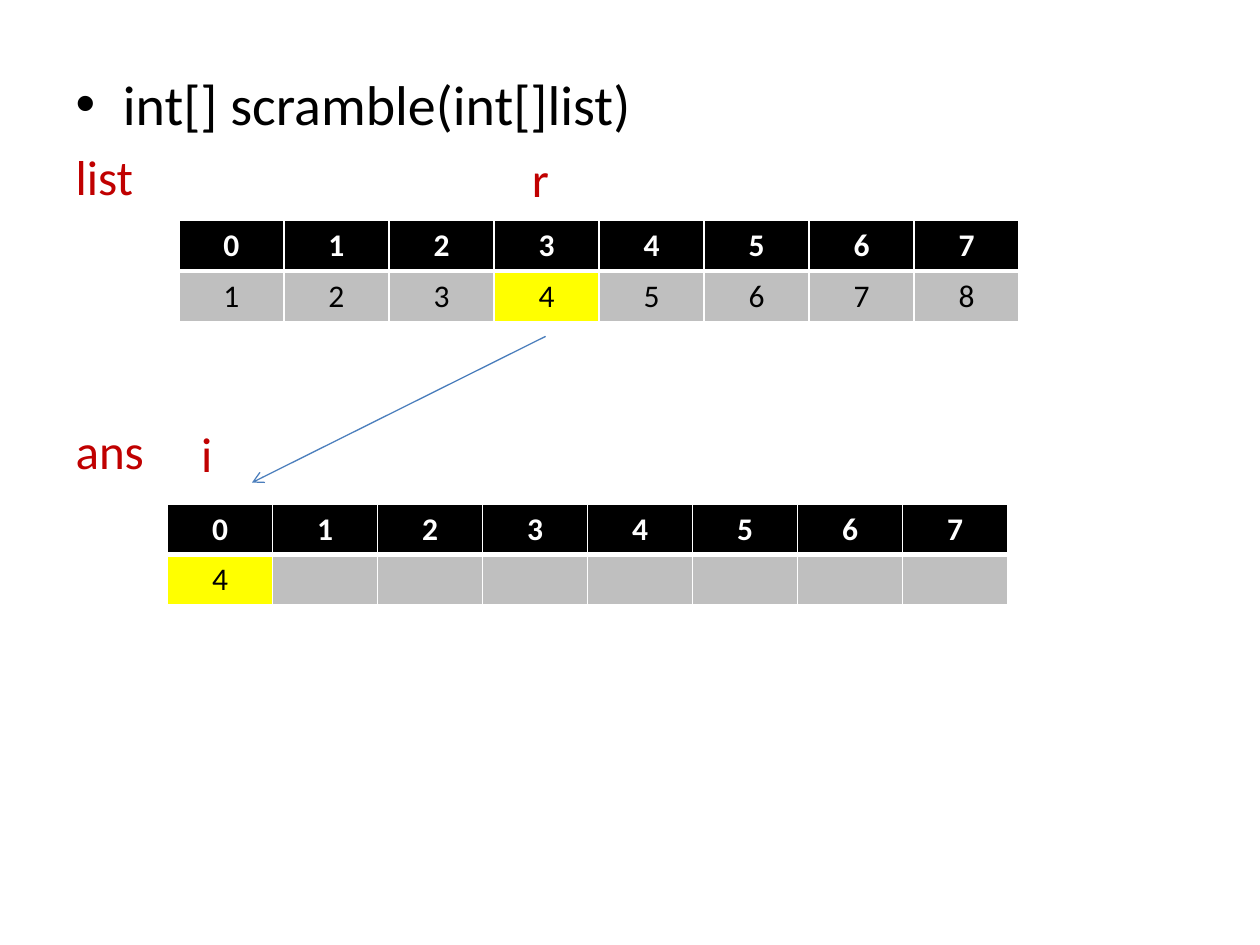
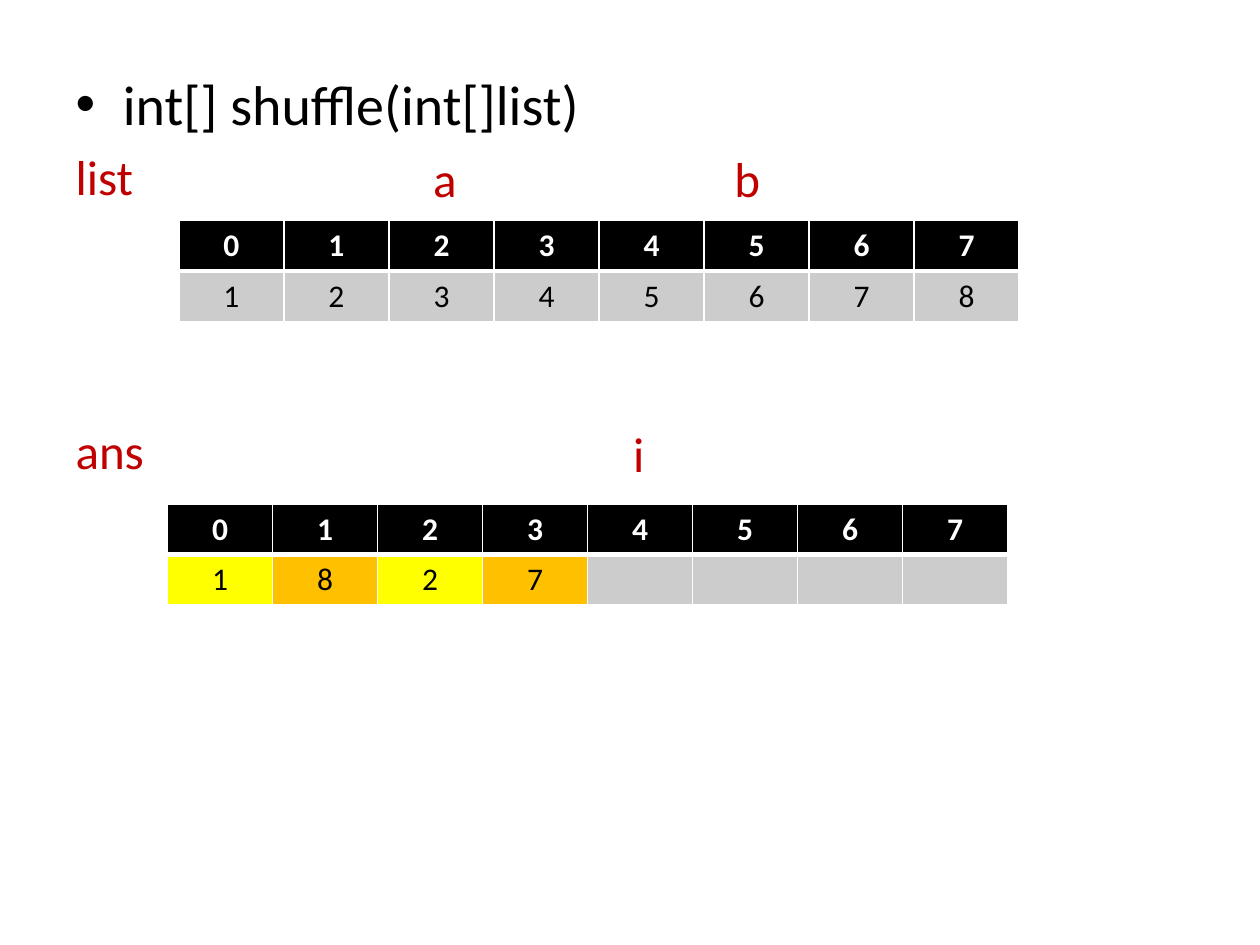
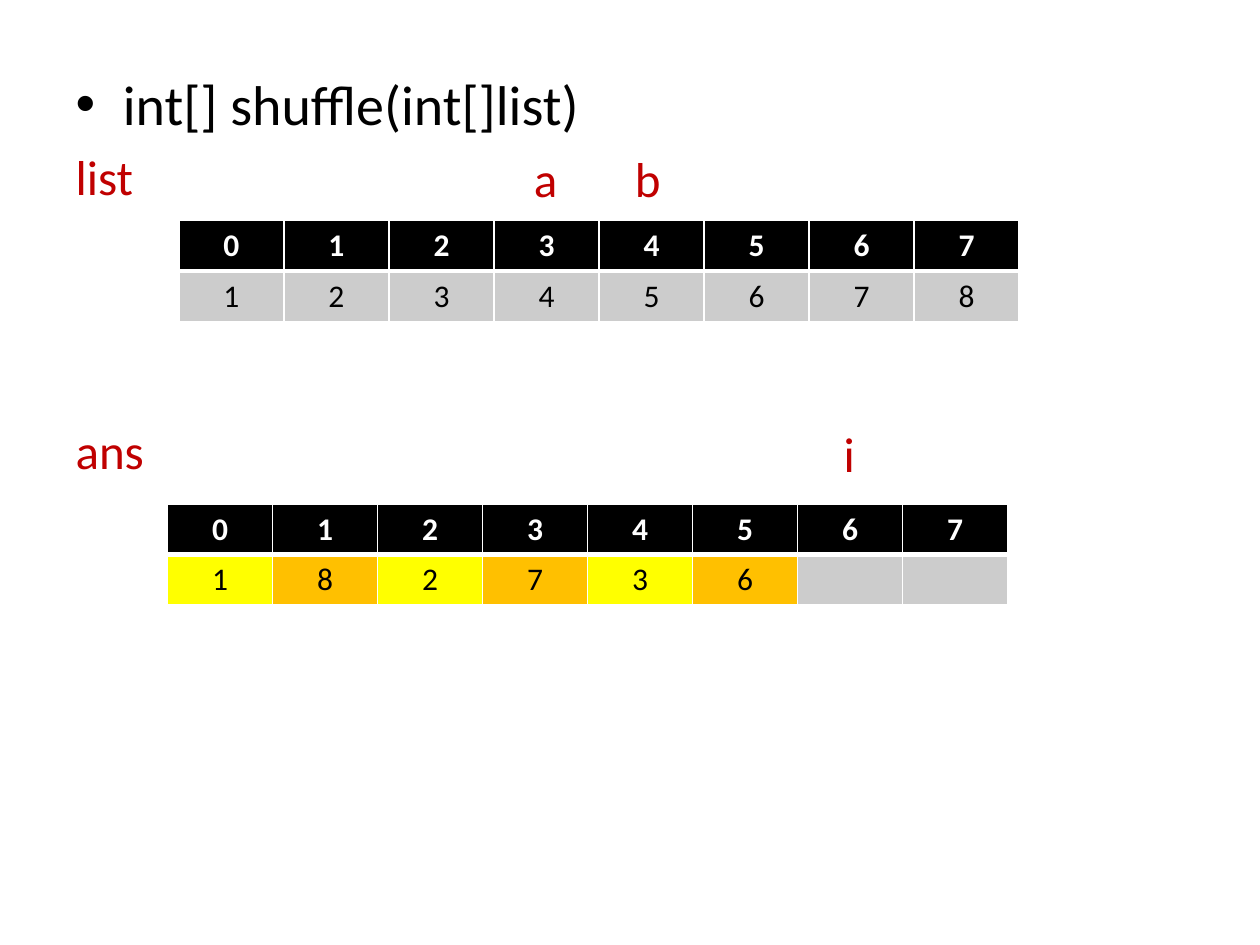
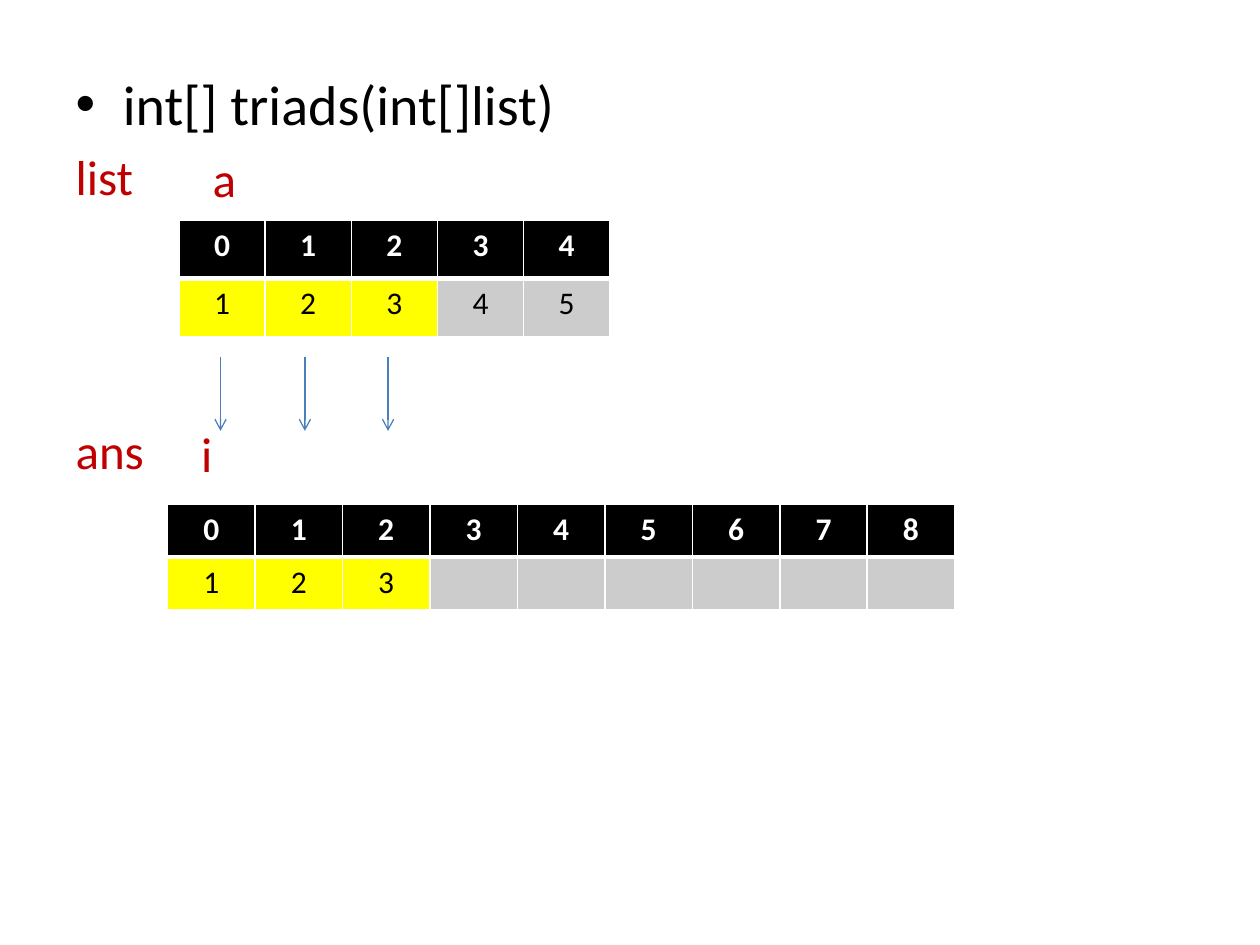
from dataclasses import dataclass

from lxml import etree
from pptx import Presentation
from pptx.dml.color import RGBColor
from pptx.enum.shapes import MSO_CONNECTOR
from pptx.enum.text import MSO_ANCHOR, PP_ALIGN
from pptx.oxml.ns import qn
from pptx.util import Inches, Pt

STRAIGHT = MSO_CONNECTOR.STRAIGHT
CENTER = PP_ALIGN.CENTER
TOP = MSO_ANCHOR.TOP

COLORS = {
    "black": "000000",
    "white": "FFFFFF",
    "red": "C00000",
    "yellow": "FFFF00",
    "orange": "FFC000",
    "gray": "BFBFBF",
    "light gray": "CCCCCC",
    "arrow": "4B7EBC",
}
FONT = "Calibri"
BODY_LEFT, BODY_TOP, BODY_WIDTH, BODY_HEIGHT = 0.5, 0.5, 9.08, 6.2
LIST_GAP, ANSWER_GAP = 5.6, 123
LIST_MARKER_TOP, ANSWER_MARKER_TOP = 1.18, 3.36
MARKER_WIDTH, MARKER_HEIGHT = 0.5, 0.48
LIST_LEFT, LIST_TOP = 1.42, 1.75
ANSWER_LEFT, ANSWER_TOP = 1.33, 4


@dataclass
class Marker:
    name: str
    center: float


@dataclass
class Array:
    values: list[int]
    highlights: list[str]
    length: int = 8
    width: float = 6.67
    row_height: float = 0.4


@dataclass
class Arrow:
    start: tuple[float, float]
    end: tuple[float, float]


@dataclass
class ArraySlide:
    signature: str
    list_markers: list[Marker]
    answer_markers: list[Marker]
    list_array: Array
    answer_array: Array
    arrows: list[Arrow]
    base_fill: str = "light gray"


def color(name: str) -> RGBColor:
    return RGBColor.from_string(COLORS[name])


def add_run(paragraph, text: str, size: float, color_name: str, bold: bool = False) -> None:
    run = paragraph.add_run()
    run.text = text
    run.font.name = FONT
    run.font.size = Pt(size)
    run.font.bold = bold
    run.font.color.rgb = color(color_name)


def add_array_name(text_frame, name: str, gap: float) -> None:
    paragraph = text_frame.add_paragraph()
    properties = paragraph._p.get_or_add_pPr()
    properties.set("marL", "0")
    properties.set("indent", "0")
    etree.SubElement(properties, qn("a:buNone"))
    paragraph.space_before = Pt(gap)
    add_run(paragraph, name, 28, "red")


def fill_body(slide, signature: str) -> None:
    title = slide.shapes.title
    title.element.getparent().remove(title.element)
    body = slide.placeholders[1]
    body.left, body.top = Inches(BODY_LEFT), Inches(BODY_TOP)
    body.width, body.height = Inches(BODY_WIDTH), Inches(BODY_HEIGHT)
    text_frame = body.text_frame
    text_frame.vertical_anchor = TOP
    heading = text_frame.paragraphs[0]
    heading.space_before = Pt(0)
    add_run(heading, signature, 32, "black")
    add_array_name(text_frame, "list", LIST_GAP)
    add_array_name(text_frame, "ans", ANSWER_GAP)


def add_marker(slide, marker: Marker, top: float) -> None:
    box = slide.shapes.add_textbox(
        Inches(marker.center - MARKER_WIDTH / 2), Inches(top),
        Inches(MARKER_WIDTH), Inches(MARKER_HEIGHT))
    text_frame = box.text_frame
    text_frame.word_wrap = True
    text_frame.vertical_anchor = TOP
    text_frame.margin_left = text_frame.margin_right = 0
    text_frame.margin_top = text_frame.margin_bottom = 0
    paragraph = text_frame.paragraphs[0]
    paragraph.alignment = CENTER
    add_run(paragraph, marker.name, 28, "red")


def add_border(cell, side: str, width: float) -> None:
    line = etree.Element(qn(f"a:{side}"), w=str(Pt(width)))
    fill = etree.SubElement(line, qn("a:solidFill"))
    etree.SubElement(fill, qn("a:srgbClr"), val=COLORS["white"])
    cell._tc.get_or_add_tcPr().insert(0, line)


def fill_cell(cell, text: str, fill: str, text_color: str, bold: bool) -> None:
    cell.fill.solid()
    cell.fill.fore_color.rgb = color(fill)
    paragraph = cell.text_frame.paragraphs[0]
    paragraph.alignment = CENTER
    if text:
        add_run(paragraph, text, 18, text_color, bold)


def add_array(slide, array: Array, left: float, top: float, base_fill: str) -> None:
    frame = slide.shapes.add_table(
        2, array.length, Inches(left), Inches(top),
        Inches(array.width), Inches(2 * array.row_height))
    table = frame.table
    table.horz_banding = False
    for row in table.rows:
        row.height = Inches(array.row_height)
    for index, column in enumerate(table.columns):
        column.width = Inches(array.width / array.length)
        value = str(array.values[index]) if index < len(array.values) else ""
        fill = array.highlights[index] if index < len(array.highlights) else base_fill
        header_cell, value_cell = table.cell(0, index), table.cell(1, index)
        fill_cell(header_cell, str(index), "black", "white", True)
        fill_cell(value_cell, value, fill or base_fill, "black", False)
        add_border(header_cell, "lnB", 3)
        add_border(value_cell, "lnT", 3)


def add_arrow(slide, arrow: Arrow) -> None:
    connector = slide.shapes.add_connector(
        STRAIGHT, *(Inches(value) for value in arrow.start + arrow.end))
    connector.line.color.rgb = color("arrow")
    connector.line.width = Pt(0.75)
    line = connector.line._get_or_add_ln()
    etree.SubElement(line, qn("a:tailEnd"), type="arrow")
    etree.SubElement(connector._element.spPr, qn("a:effectLst"))


def add_array_slide(presentation, content: ArraySlide) -> None:
    slide = presentation.slides.add_slide(presentation.slide_layouts[1])
    fill_body(slide, content.signature)
    for marker in content.list_markers:
        add_marker(slide, marker, LIST_MARKER_TOP)
    for marker in content.answer_markers:
        add_marker(slide, marker, ANSWER_MARKER_TOP)
    add_array(slide, content.list_array, LIST_LEFT, LIST_TOP, content.base_fill)
    add_array(slide, content.answer_array, ANSWER_LEFT, ANSWER_TOP, content.base_fill)
    for arrow in content.arrows:
        add_arrow(slide, arrow)


ONE_TO_EIGHT = list(range(1, 9))
PAIR = ["yellow", "orange"]
TRIAD = ["yellow"] * 3

SLIDES = [
    ArraySlide(
        "int[] scramble(int[]list)",
        [Marker("r", 4.29)], [Marker("i", 1.64)],
        Array(ONE_TO_EIGHT, ["", "", "", "yellow"]),
        Array([4], ["yellow"]),
        [Arrow((4.33, 2.67), (2, 3.83))],
        "gray",
    ),
    ArraySlide(
        "int[] shuffle(int[]list)",
        [Marker("a", 3.53), Marker("b", 5.93)], [Marker("i", 5.07)],
        Array(ONE_TO_EIGHT, []),
        Array([1, 8, 2, 7], PAIR * 2),
        [],
    ),
    ArraySlide(
        "int[] shuffle(int[]list)",
        [Marker("a", 4.33), Marker("b", 5.14)], [Marker("i", 6.74)],
        Array(ONE_TO_EIGHT, []),
        Array([1, 8, 2, 7, 3, 6], PAIR * 3),
        [],
    ),
    ArraySlide(
        "int[] triads(int[]list)",
        [Marker("a", 1.78)], [Marker("i", 1.64)],
        Array([1, 2, 3, 4, 5], TRIAD, 5, 3.42, 0.46),
        Array([1, 2, 3], TRIAD, 9, 6.25, 0.42),
        [Arrow((x, 2.83), (x, 3.42)) for x in (1.75, 2.42, 3.08)],
    ),
]


def main() -> None:
    presentation = Presentation()
    presentation.slide_width = Inches(10)
    presentation.slide_height = Inches(7.5)
    for content in SLIDES:
        add_array_slide(presentation, content)
    presentation.save("out.pptx")


if __name__ == "__main__":
    main()
